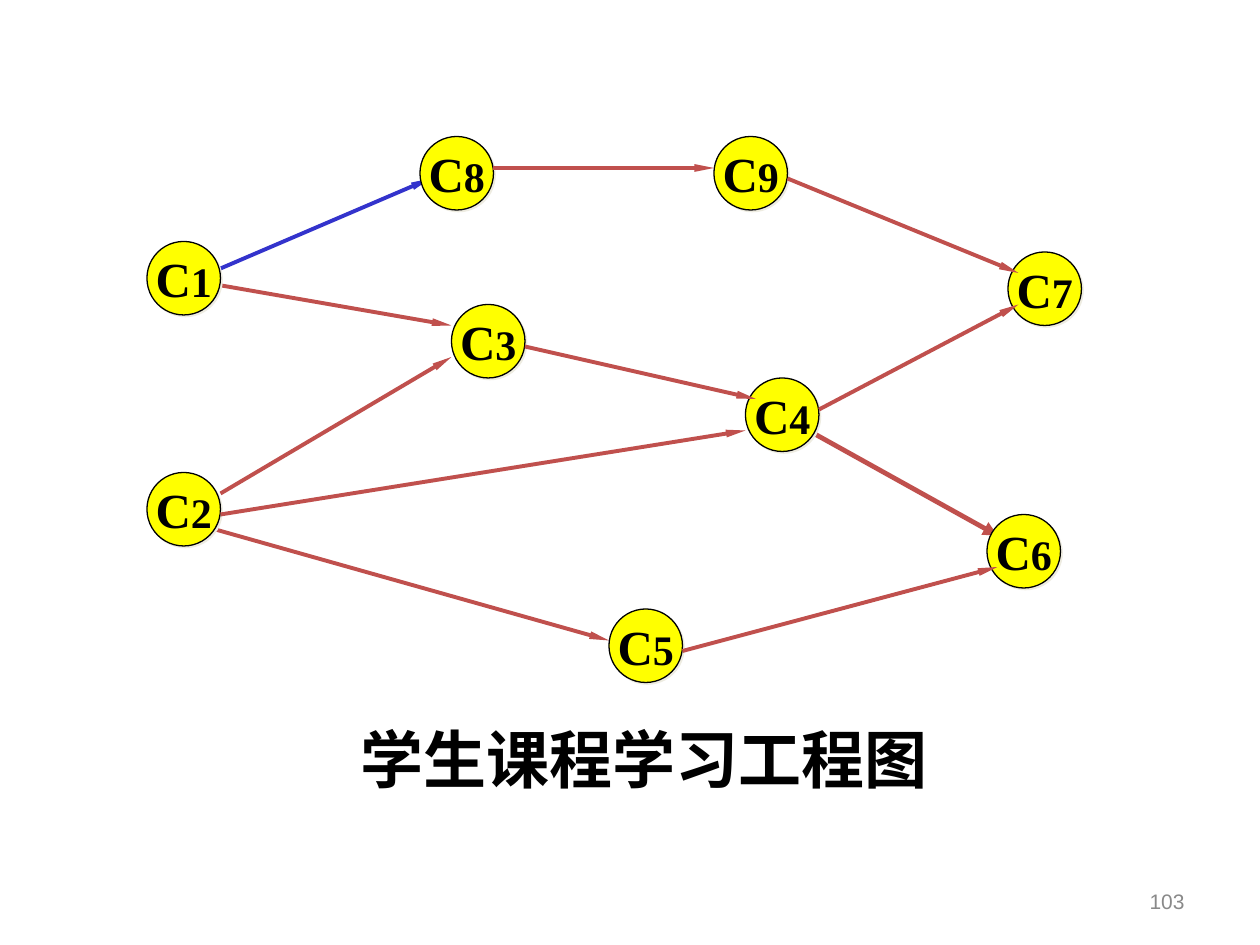
from pptx import Presentation
from pptx.dml.color import RGBColor as Rgb
from pptx.enum.shapes import MSO_CONNECTOR as Link, MSO_SHAPE as Form
from pptx.enum.text import MSO_ANCHOR as Anchor, MSO_AUTO_SIZE as Fit, PP_ALIGN as Align
from pptx.oxml import parse_xml
from pptx.oxml.ns import nsdecls
from pptx.util import Cm, Pt

HUES = {"ink": "000000", "node": "FFFF00", "red": "C0504D",
        "blue": "3333CC", "shade": "EEECE1", "gray": "898989"}
UNIT = 2.54 / 12
SIZE = 7


def grid(*vals):
    return [Cm(val * UNIT) for val in vals]


def hue(name):
    return Rgb.from_string(HUES[name])


class Board:
    serif = "Times New Roman"
    sans = "Arial"

    def __init__(self, deck):
        self.slide = deck.slides.add_slide(deck.slide_layouts[6])
        self.shapes = self.slide.shapes

    def style(self, para, size, color="ink", face=serif, bold=True):
        font = para.font
        font.size, font.name, font.bold = Pt(size), face, bold
        font.color.rgb = hue(color)

    def label(self, text, box, size, wrap=False, align=Align.LEFT, **look):
        frame = self.shapes.add_textbox(*map(Cm, box)).text_frame
        frame.word_wrap = wrap
        frame.auto_size = Fit.NONE if wrap else Fit.SHAPE_TO_FIT_TEXT
        frame.vertical_anchor = Anchor.MIDDLE if wrap else Anchor.TOP
        para = frame.paragraphs[0]
        para.text, para.alignment = text, align
        self.style(para, size, **look)

    def node(self, digit, left, top):
        disc = self.shapes.add_shape(Form.OVAL, *grid(left, top, SIZE, SIZE))
        disc.fill.solid()
        disc.fill.fore_color.rgb = hue("node")
        disc.line.color.rgb = hue("ink")
        disc.line.width = Pt(0.75)
        self.shade(disc)
        frame = disc.text_frame
        frame.word_wrap = False
        frame.vertical_anchor = Anchor.MIDDLE
        para = frame.paragraphs[0]
        para.alignment = Align.CENTER
        self.style(para, 28)
        for text, size in (("C", 28), (digit, 24)):
            run = para.add_run()
            run.text, run.font.size = text, Pt(size)

    def shade(self, disc):
        disc.shadow.inherit = False
        effects = disc.element.spPr.find("{*}effectLst")
        effects.append(parse_xml(
            f'<a:outerShdw {nsdecls("a")} dist="{Pt(1.4)}" dir="2700000" algn="ctr">'
            f'<a:srgbClr val="{HUES["shade"]}"/></a:outerShdw>'))

    def arrow(self, start, end, color="red", width=2.25, head=("sm", "lg")):
        edge = self.shapes.add_connector(Link.STRAIGHT, *grid(*start, *end))
        edge.line.color.rgb = hue(color)
        edge.line.width = Pt(width)
        wide, length = head
        props = edge.element.spPr
        props.find("{*}ln").append(parse_xml(
            f'<a:tailEnd {nsdecls("a")} type="triangle" w="{wide}" len="{length}"/>'))
        props.append(parse_xml(f'<a:effectLst {nsdecls("a")}/>'))


BACK = [((19, 50), (58, 61)), ((21, 47), (43, 34)), ((20, 27), (43, 31))]
FRONT = [((47, 16), (68, 16)), ((50, 33), (72, 38)), ((21, 49), (71, 41)),
         ((75, 17), (97, 26)), ((78, 39), (97, 29)), ((65, 62), (95, 54))]
NODES = {"8": (40, 13), "3": (43, 29), "5": (58, 58), "4": (71, 36), "9": (68, 13),
         "6": (94, 49), "7": (96, 24), "1": (14, 23), "2": (14, 45)}


def main():
    deck = Presentation()
    deck.slide_width, deck.slide_height = Cm(25.4), Cm(19.05)
    board = Board(deck)
    board.label("103", (18.2, 17.66, 5.93, 1.01), 12, wrap=True, align=Align.RIGHT,
                color="gray", face=board.sans, bold=False)
    board.arrow((77, 41), (95, 51), width=2.75, head=("med", "med"))
    for start, end in BACK:
        board.arrow(start, end)
    board.arrow((20, 26), (41, 17), color="blue")
    board.label("学生课程学习工程图", (7.01, 14.4, 11.94, 1.78), 36)
    for digit, spot in NODES.items():
        board.node(digit, *spot)
    for start, end in FRONT:
        board.arrow(start, end)
    deck.save("out.pptx")


if __name__ == "__main__":
    main()
